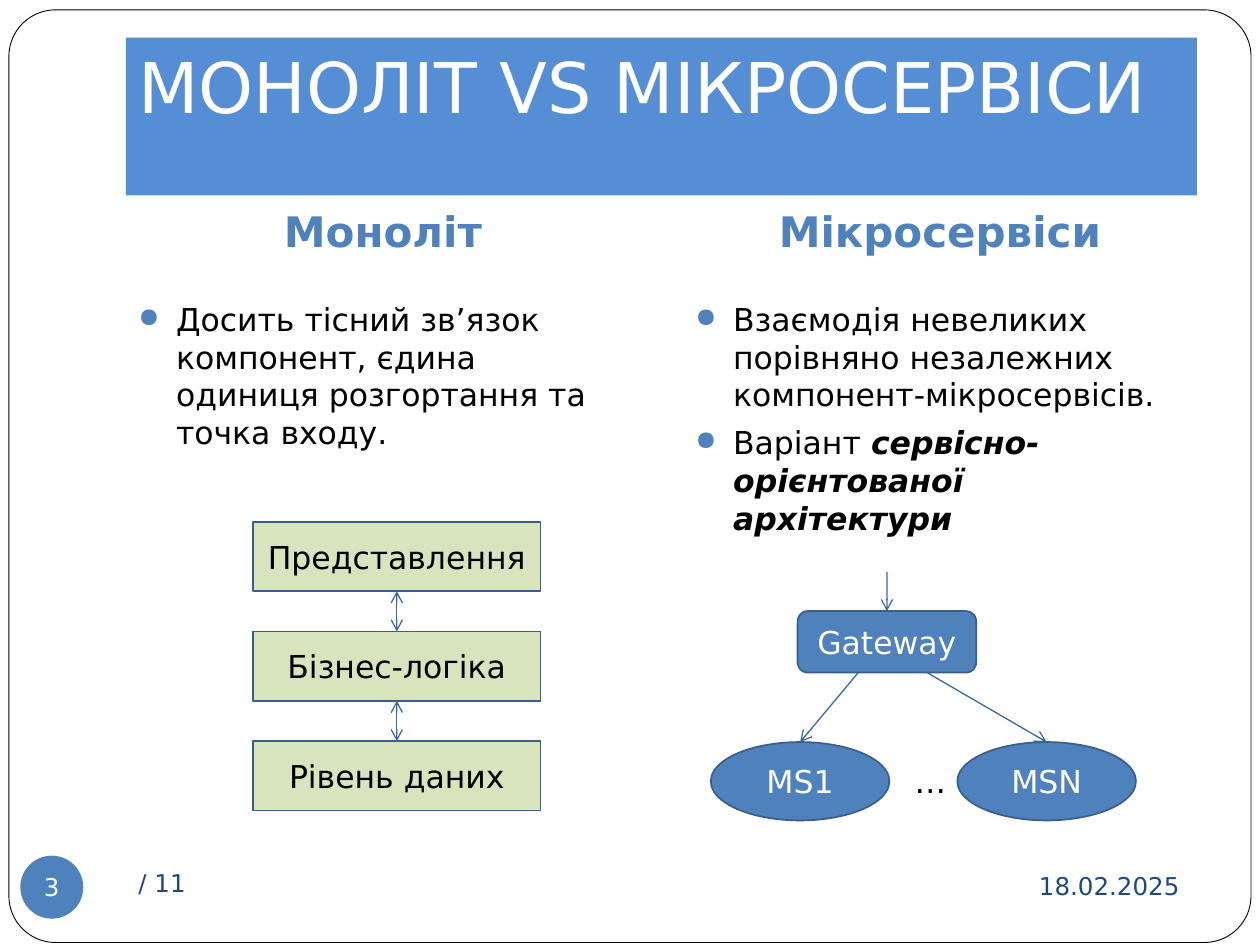
from lxml.etree import SubElement
from pptx import Presentation
from pptx.dml.color import RGBColor
from pptx.enum.shapes import MSO_CONNECTOR, MSO_SHAPE
from pptx.enum.text import MSO_ANCHOR, MSO_AUTO_SIZE, PP_ALIGN
from pptx.oxml.ns import qn
from pptx.util import Cm, Pt

FONT = "DejaVu Sans"
WHITE = RGBColor(0xFF, 0xFF, 0xFF)
BLACK = RGBColor(0, 0, 0)
BLUE = RGBColor(0x4F, 0x81, 0xBD)
SKY = RGBColor(0x55, 0x8E, 0xD5)
NAVY = RGBColor(0x1F, 0x49, 0x7D)
GREEN = RGBColor(0xD7, 0xE4, 0xBD)
EDGE = RGBColor(0x3A, 0x5F, 0x8C)
ARROW = RGBColor(0x3B, 0x67, 0x9C)

LEFT, RIGHT, WIDTH = 2.54, 13.77, 10.36


def style(para, size, color, align=PP_ALIGN.LEFT, bold=None):
    para.alignment = align
    font = para.font
    font.name, font.size, font.bold = FONT, Pt(size), bold
    font.color.rgb = color


def add_shape(slide, kind, box, fill, edge=None, width=1):
    shape = slide.shapes.add_shape(kind, *map(Cm, box))
    shape.shadow.inherit = False
    shape.fill.solid()
    shape.fill.fore_color.rgb = fill
    if edge is None:
        shape.line.fill.background()
    else:
        shape.line.color.rgb = edge
        shape.line.width = Pt(width)
    return shape


def add_node(slide, kind, box, text, fill, color):
    """Add an outlined diagram shape with a centred label."""
    shape = add_shape(slide, kind, box, fill, EDGE)
    frame = shape.text_frame
    frame.word_wrap = True
    frame.vertical_anchor = MSO_ANCHOR.MIDDLE
    frame.text = text
    style(frame.paragraphs[0], 18, color, PP_ALIGN.CENTER)
    return shape


def add_text(slide, box, text, size, color, align=PP_ALIGN.LEFT,
             anchor=MSO_ANCHOR.TOP, bold=None):
    frame = slide.shapes.add_textbox(*map(Cm, box)).text_frame
    frame.word_wrap = True
    frame.vertical_anchor = anchor
    frame.text = text
    style(frame.paragraphs[0], size, color, align, bold)
    return frame


def add_list(slide, left, items):
    """Add a bulleted list; each item is plain text and stressed text."""
    box = slide.shapes.add_textbox(Cm(left), Cm(5.92), Cm(WIDTH), Cm(11.12))
    frame = box.text_frame
    frame.word_wrap = True
    for i, (plain, stress) in enumerate(items):
        para = frame.add_paragraph() if i else frame.paragraphs[0]
        props = para._p.get_or_add_pPr()
        props.set("marL", str(Cm(0.76)))
        props.set("indent", str(-Cm(0.76)))
        tint = SubElement(props, qn("a:buClr"))
        SubElement(tint, qn("a:srgbClr"), val=str(BLUE))
        SubElement(props, qn("a:buSzPct"), val="85000")
        SubElement(props, qn("a:buChar"), char="●")
        if i:
            para.space_before = Pt(5.8)
        style(para, 18, BLACK)
        para.add_run().text = plain
        if stress:
            run = para.add_run()
            run.text = stress
            run.font.bold = run.font.italic = True


def add_arrow(slide, start, end, both=False):
    line = slide.shapes.add_connector(
        MSO_CONNECTOR.STRAIGHT, *map(Cm, start + end))
    line.line.color.rgb = ARROW
    line.line.width = Pt(0.75)
    stroke = line.line._get_or_add_ln()
    if both:
        SubElement(stroke, qn("a:headEnd"), type="arrow")
    SubElement(stroke, qn("a:tailEnd"), type="arrow")
    SubElement(line._element.spPr, qn("a:effectLst"))
    return line


def add_frame(slide):
    """Add the page border, title bar and footer."""
    border = add_shape(slide, MSO_SHAPE.ROUNDED_RECTANGLE,
                       (0.18, 0.2, 25.04, 18.8), WHITE, BLACK, 0.5)
    border.adjustments[0] = 0.05

    bar = add_shape(slide, MSO_SHAPE.RECTANGLE,
                    (LEFT, 0.76, 21.59, 3.18), SKY).text_frame
    bar.word_wrap = True
    bar.vertical_anchor = MSO_ANCHOR.TOP
    bar.margin_bottom = Cm(0.25)
    bar.text = "МОНОЛІТ VS МІКРОСЕРВІСИ"
    style(bar.paragraphs[0], 40, WHITE)

    add_text(slide, (17.15, 17.2, 6.88, 1.32), "18.02.2025", 14, NAVY,
             PP_ALIGN.RIGHT, MSO_ANCHOR.MIDDLE)
    add_text(slide, (LEFT, 17.15, 11, 1.27), "/ 11", 14, NAVY,
             anchor=MSO_ANCHOR.MIDDLE)

    badge = add_shape(slide, MSO_SHAPE.OVAL,
                      (0.41, 17.25, 1.27, 1.27), BLUE).text_frame
    badge.margin_left = badge.margin_right = 0
    badge.margin_top = badge.margin_bottom = 0
    badge.word_wrap = False
    badge.vertical_anchor = MSO_ANCHOR.MIDDLE
    badge.text = "3"
    style(badge.paragraphs[0], 14, WHITE, PP_ALIGN.CENTER)


def add_layers(slide):
    """Stack the layers of the monolith, joined by two-way arrows."""
    names = ("Представлення", "Бізнес-логіка", "Рівень даних")
    layers = [add_node(slide, MSO_SHAPE.RECTANGLE,
                       (5.1, 10.52 + 2.21 * i, 5.8, 1.4), name, GREEN, BLACK)
              for i, name in enumerate(names)]
    for upper, lower in zip(layers, layers[1:]):
        line = add_arrow(slide, (0, 0), (0, 0), both=True)
        line.begin_connect(upper, 2)
        line.end_connect(lower, 0)


def add_services(slide):
    """Draw the gateway and the services that it calls."""
    gate = add_node(slide, MSO_SHAPE.ROUNDED_RECTANGLE,
                    (16.08, 12.32, 3.6, 1.24), "Gateway", BLUE, WHITE)
    entry = add_arrow(slide, (17.88, 11.53), (17.88, 12.32))
    entry.end_connect(gate, 0)
    for name, left, start in (("MS1", 14.33, 17.3), ("MSN", 19.3, 18.69)):
        oval = add_node(slide, MSO_SHAPE.OVAL, (left, 14.96, 3.6, 1.58),
                        name, BLUE, WHITE)
        line = add_arrow(slide, (start, 13.56), (left + 1.8, 14.96))
        line.end_connect(oval, 0)
    dots = add_text(slide, (18.19, 15.24, 1.04, 1.02), "…", 18, BLACK)
    dots.word_wrap = False
    dots.auto_size = MSO_AUTO_SIZE.SHAPE_TO_FIT_TEXT


def main():
    deck = Presentation()
    deck.slide_width, deck.slide_height = Cm(25.4), Cm(19.05)
    slide = deck.slides.add_slide(deck.slide_layouts[6])
    add_frame(slide)
    for left, head in ((LEFT, "Моноліт"), (RIGHT, "Мікросервіси")):
        add_text(slide, (left, 4.01, WIDTH, 2.11), head, 24, BLUE,
                 PP_ALIGN.CENTER, bold=True)
    add_list(slide, LEFT, [
        ("Досить тісний зв’язок компонент, єдина одиниця розгортання "
         "та точка входу.", "")])
    add_list(slide, RIGHT, [
        ("Взаємодія невеликих порівняно незалежних "
         "компонент-мікросервісів.", ""),
        ("Варіант ", "сервісно-орієнтованої архітектури")])
    add_layers(slide)
    add_services(slide)
    deck.save("out.pptx")


if __name__ == "__main__":
    main()
